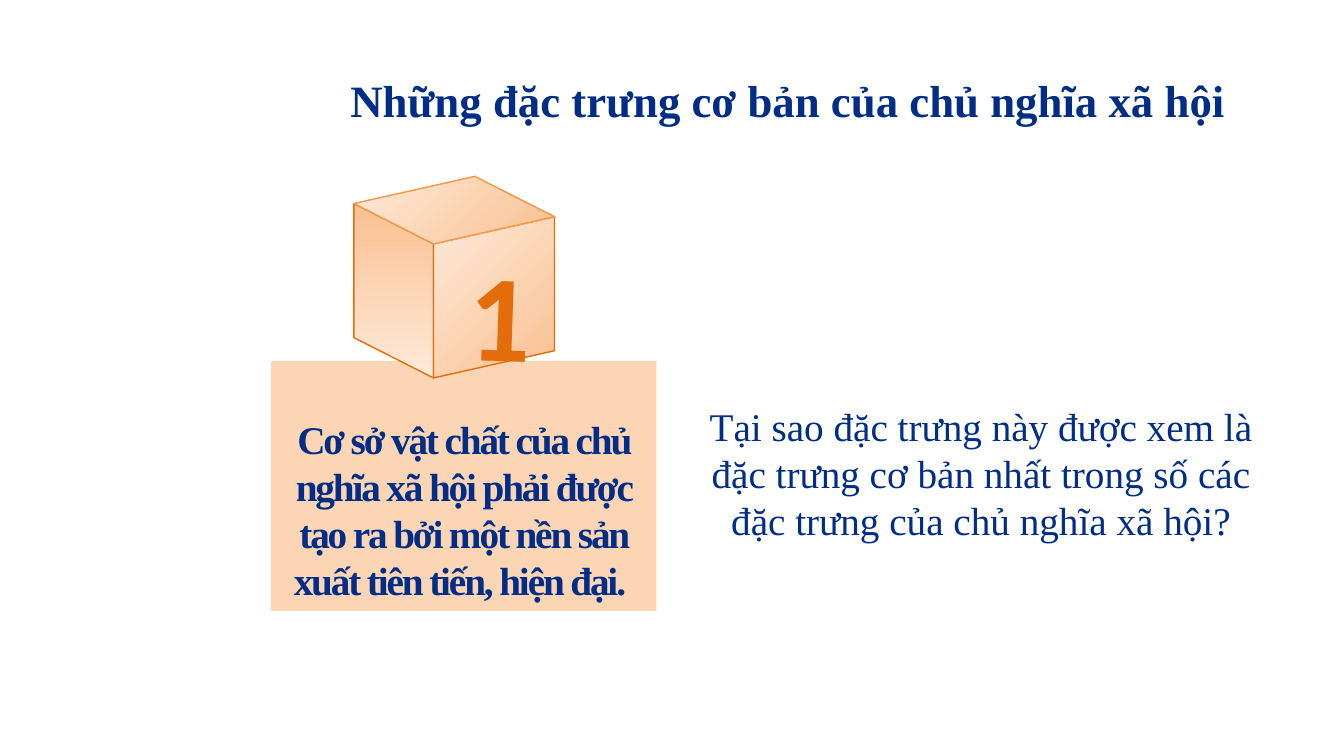
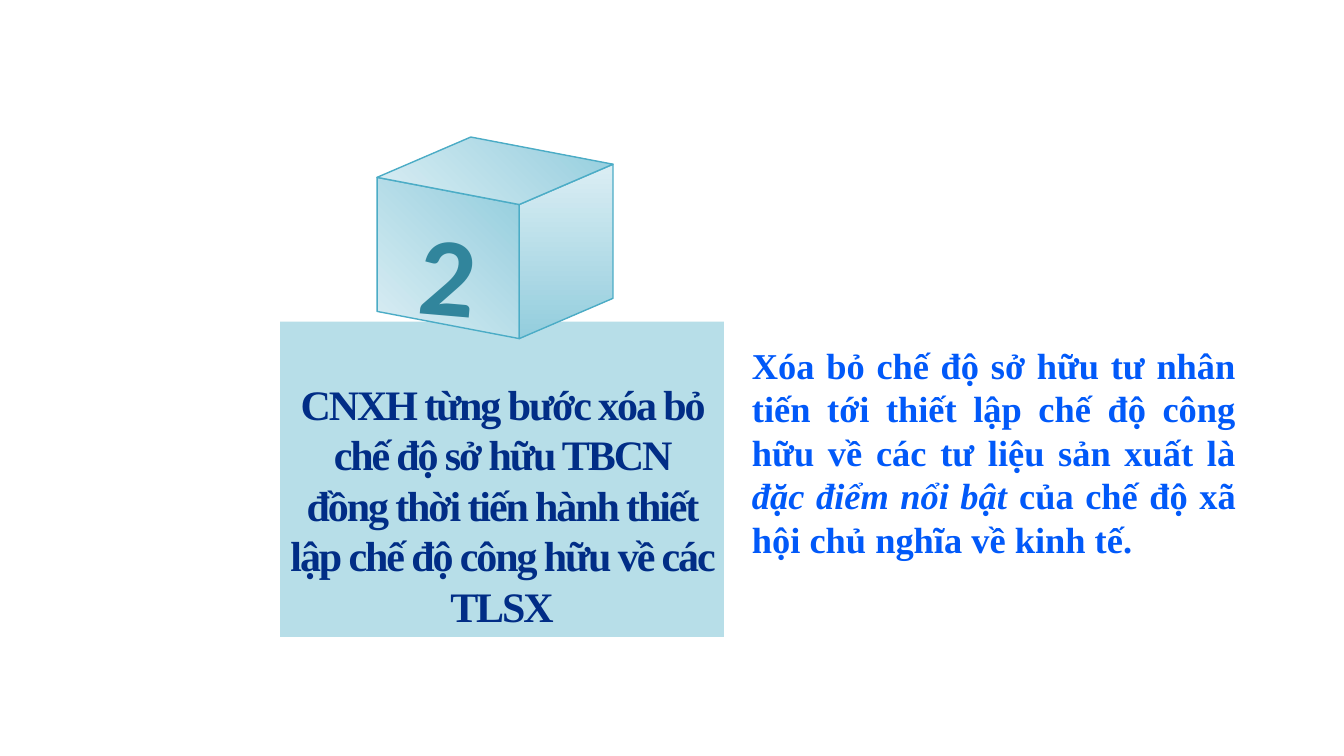
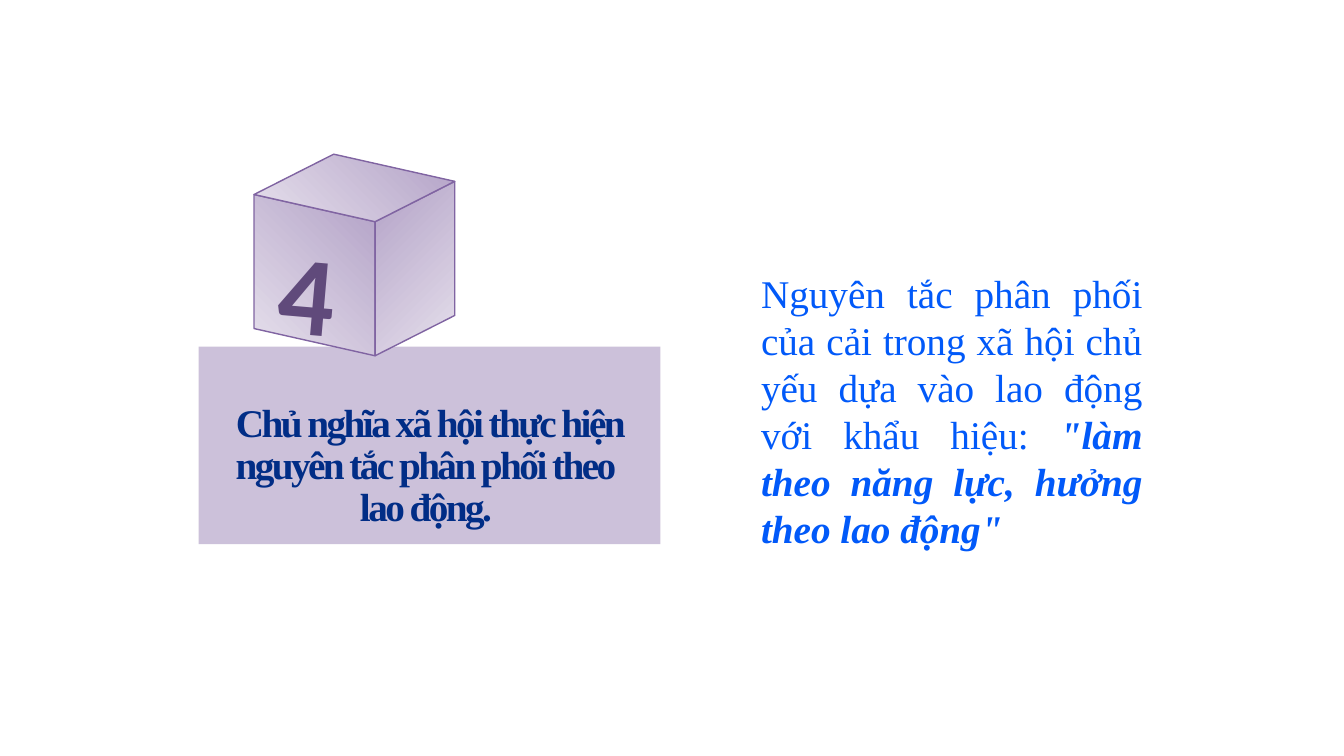
from pptx import Presentation
from pptx.dml.color import RGBColor
from pptx.enum.shapes import MSO_SHAPE
from pptx.enum.text import MSO_ANCHOR, PP_ALIGN
from pptx.oxml.ns import qn
from pptx.util import Inches, Pt

HUES = {
    "navy": "012D86",
    "blue": "0159F9",
    "orange": {"panel": "FCD5B5", "light": "FDEADA", "dark": "FAC090",
               "edge": "E46C0A", "rim": "F79646", "digit": "E46C0A"},
    "teal": {"panel": "B7DEE8", "light": "DBEEF4", "dark": "93CDDD",
             "edge": "4BACC6", "rim": "4BACC6", "digit": "31859C"},
    "purple": {"panel": "CCC1DA", "light": "E6E0EC", "dark": "B3A2C7",
               "edge": "8064A2", "rim": "8064A2", "digit": "604A7B"},
}
SERIF = "Times New Roman"
DROP = 1.33


def shift(spot, move):
    return spot[0] + move[0], spot[1] + move[1]


class Deck:
    def __init__(self):
        self.file = Presentation()
        self.file.slide_width = Inches(13.33)
        self.file.slide_height = Inches(7.5)
        self.slide = None

    def page(self, layout=6):
        self.slide = self.file.slides.add_slide(self.file.slide_layouts[layout])

    def style(self, para, size, hue, bold=False, face=SERIF, align=PP_ALIGN.CENTER):
        para.alignment = align
        font = para.font
        font.name, font.size, font.bold = face, Pt(size), bold
        font.color.rgb = RGBColor.from_string(hue)

    def title(self, text, box):
        shape = self.slide.shapes.title
        shape.left, shape.top, shape.width, shape.height = map(Inches, box)
        frame = shape.text_frame
        frame.text = text
        frame.vertical_anchor = MSO_ANCHOR.MIDDLE
        self.style(frame.paragraphs[0], 32, HUES["navy"], True)

    def panel(self, lines, box, hue, size, space=-1.5, pitch=1):
        shape = self.slide.shapes.add_shape(MSO_SHAPE.RECTANGLE, *map(Inches, box))
        shape.shadow.inherit = False
        shape.fill.solid()
        shape.fill.fore_color.rgb = RGBColor.from_string(hue["panel"])
        shape.line.fill.background()
        frame = shape.text_frame
        frame.word_wrap = True
        frame.vertical_anchor = MSO_ANCHOR.MIDDLE
        frame.margin_top = Inches(0.05 + size * pitch / 60)
        frame.text = "\n".join(lines)
        for para in frame.paragraphs:
            para.line_spacing = pitch
            self.style(para, size, HUES["navy"], True)
        for font in shape.element.iter(qn("a:defRPr")):
            font.set("spc", str(round(space * 100)))

    def face(self, spots, hue, edge, angle):
        first, *rest = [tuple(map(Inches, spot)) for spot in spots]
        build = self.slide.shapes.build_freeform(*first, scale=1.0)
        build.add_line_segments(rest, close=True)
        shape = build.convert_to_shape()
        shape.shadow.inherit = False
        shape.fill.gradient()
        shape.fill.gradient_angle = angle
        for stop, tone in zip(shape.fill.gradient_stops, ("light", "dark")):
            stop.color.rgb = RGBColor.from_string(hue[tone])
        shape.line.color.rgb = RGBColor.from_string(hue[edge])
        shape.line.width = Pt(1)

    def cube(self, near, left, right, hue, angles):
        for move, angle in zip((left, right), angles):
            far = shift(near, move)
            spots = near, far, shift(far, (0, DROP)), shift(near, (0, DROP))
            self.face(spots, hue, "edge", angle)
        side = shift(near, left)
        spots = near, side, shift(side, right), shift(near, right)
        self.face(spots, hue, "rim", angles[2])

    def digit(self, text, box, hue, size, turn):
        shape = self.slide.shapes.add_textbox(*map(Inches, box))
        shape.rotation = turn
        frame = shape.text_frame
        frame.word_wrap = False
        frame.text = text
        self.style(frame.paragraphs[0], size, hue["digit"], True, "Calibri")

    def note(self, parts, box, size, hue, bold=False, align=PP_ALIGN.JUSTIFY):
        shape = self.slide.shapes.add_textbox(*map(Inches, box))
        frame = shape.text_frame
        frame.word_wrap = True
        para = frame.paragraphs[0]
        self.style(para, size, hue, bold, align=align)
        for text, accent in parts:
            run = para.add_run()
            run.text = text
            if accent:
                run.font.bold = run.font.italic = True


def main():
    deck = Deck()

    deck.page(5)
    hue = HUES["orange"]
    deck.title("Những đặc trưng cơ bản của chủ nghĩa xã hội", (3.33, 0.47, 8.97, 1.03))
    deck.panel(["Cơ sở vật chất của chủ nghĩa xã hội phải được tạo ra bởi "
                "một nền sản xuất tiên tiến, hiện đại. "],
               (2.69, 3.58, 3.82, 2.48), hue, 28)
    deck.cube((4.3, 2.42), (-0.79, -0.4), (1.2, -0.27), hue, (90, 315, 315))
    deck.digit("1", (4.55, 2.32, 0.83, 1.58), hue, 88, 2)
    deck.note([("Tại sao đặc trưng này được xem là đặc trưng cơ bản nhất "
                "trong số các đặc trưng của chủ nghĩa xã hội?", False)],
              (6.83, 3.94, 5.8, 1.51), 28, HUES["navy"], align=PP_ALIGN.CENTER)

    deck.page()
    hue = HUES["teal"]
    deck.panel(["CNXH từng bước xóa bỏ chế độ sở hữu TBCN đồng thời tiến hành "
                "thiết lập chế độ công hữu về các TLSX"],
               (2.78, 3.19, 4.4, 3.13), hue, 30)
    deck.cube((5.15, 2.03), (-1.41, -0.27), (0.93, -0.4), hue, (45, 270, 45))
    deck.digit("2", (4.06, 1.98, 0.77, 1.45), hue, 80, 5)
    deck.note([("Xóa bỏ chế độ sở hữu tư nhân tiến tới thiết lập chế độ "
                "công hữu về các tư liệu sản xuất là ", False),
               ("đặc điểm nổi bật ", True),
               ("của chế độ xã hội chủ nghĩa về kinh tế.", False)],
              (7.36, 3.35, 5, 2.29), 26, HUES["blue"], True)

    deck.page()
    hue = HUES["purple"]
    deck.panel(["Chủ nghĩa xã hội thực hiện nguyên tắc phân phối theo ", "lao động. "],
               (1.97, 3.44, 4.58, 1.96), hue, 28, -1.8, 0.9)
    deck.cube((3.72, 2.2), (-1.2, -0.27), (0.79, -0.4), hue, (45, 135, 45))
    deck.digit("4", (2.67, 2.16, 0.77, 1.45), hue, 80, 5)
    deck.note([("Nguyên tắc phân phối của cải trong xã hội chủ yếu dựa vào "
                "lao động với khẩu hiệu: ", False),
               ('"làm theo năng lực, hưởng theo lao động" ', True)],
              (7.45, 2.62, 3.98, 2.93), 28, HUES["blue"])

    deck.file.save("out.pptx")


if __name__ == "__main__":
    main()
